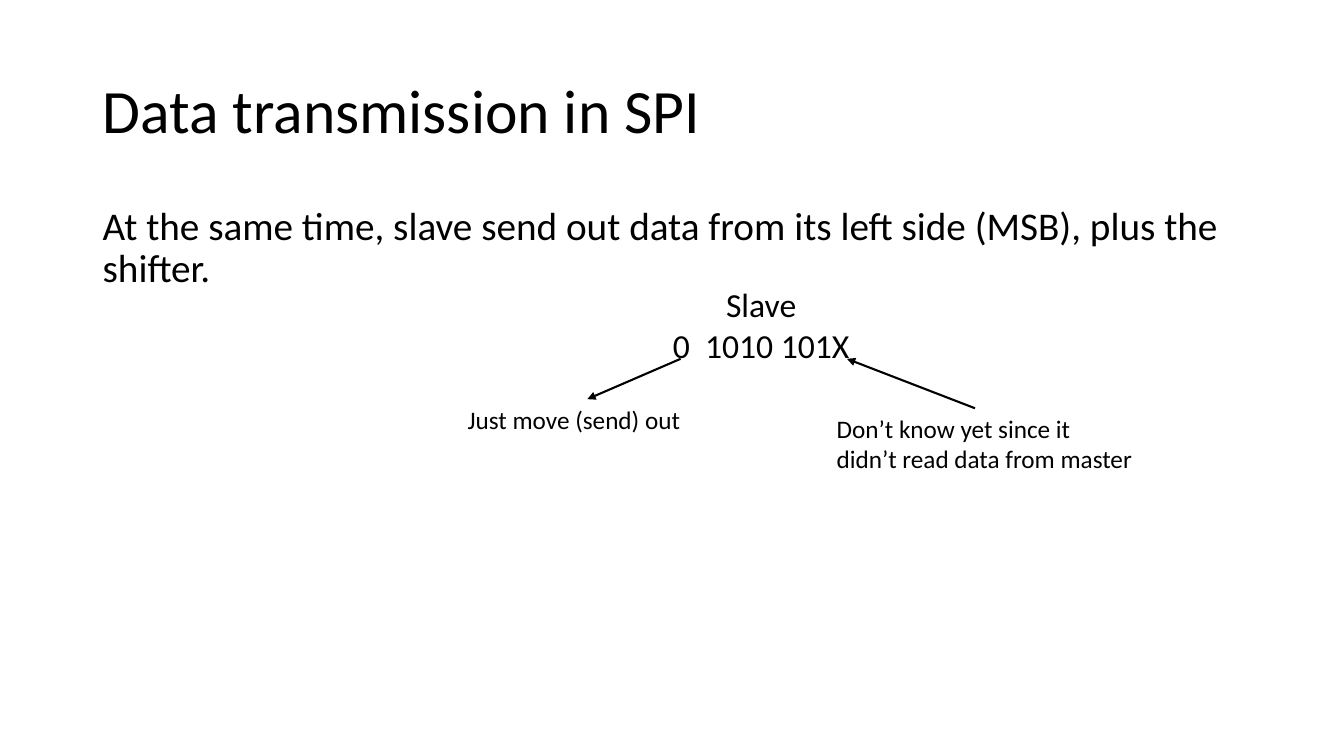
from dataclasses import dataclass

from lxml.etree import SubElement
from pptx import Presentation
from pptx.dml.color import RGBColor
from pptx.enum.shapes import MSO_CONNECTOR
from pptx.enum.text import MSO_ANCHOR, PP_ALIGN
from pptx.oxml.ns import qn
from pptx.util import Emu, Pt

# Boxes are left, top, width, height in px
SLIDE_SIZE = (1333, 750)
TITLE = ("Data transmission in SPI", (92, 40, 1150, 145))
BODY = (
    "At the same time, slave send out data from its left side (MSB), plus the shifter.",
    (92, 200, 1150, 476),
)
SENT_NOTE = ("Just move (send) out", (454, 396, 257, 40))
UNKNOWN_NOTE = (
    "Don’t know yet since it didn’t read data from master",
    (820, 405, 314, 71),
)
REGISTER = (["Slave", "0  1010 101X"], (643, 277, 224, 91))
SENT_ARROW = ((675, 356), (583, 396))
UNKNOWN_ARROW = ((967, 405), (840, 356))


@dataclass(frozen=True)
class Theme:
    font: str = "Calibri"
    ink: RGBColor = RGBColor(0, 0, 0)
    title_size: int = 44
    body_size: int = 28
    register_size: int = 24
    note_size: int = 18
    line_width: float = 1.5


THEME = Theme()


def px(length):
    return Emu(length * 9144)


def add_text(slide, lines, box, size, align=PP_ALIGN.LEFT,
             anchor=MSO_ANCHOR.TOP, line_spacing=None, space_before=0):
    shape = slide.shapes.add_textbox(*map(px, box))
    frame = shape.text_frame
    frame.word_wrap = True
    frame.vertical_anchor = anchor
    frame.text = "\n".join(lines)
    for paragraph in frame.paragraphs:
        paragraph.alignment = align
        paragraph.line_spacing = line_spacing
        paragraph.space_before = Pt(space_before)
        paragraph.font.name = THEME.font
        paragraph.font.size = Pt(size)
        paragraph.font.color.rgb = THEME.ink
    return shape


def add_arrow(slide, start, end):
    arrow = slide.shapes.add_connector(
        MSO_CONNECTOR.STRAIGHT, *map(px, start + end))
    arrow.line.color.rgb = THEME.ink
    arrow.line.width = Pt(THEME.line_width)
    SubElement(arrow.line._get_or_add_ln(), qn("a:tailEnd"), type="triangle")
    SubElement(arrow._element.spPr, qn("a:effectLst"))
    return arrow


def main():
    presentation = Presentation()
    presentation.slide_width, presentation.slide_height = map(px, SLIDE_SIZE)
    slide = presentation.slides.add_slide(presentation.slide_layouts[6])

    title, title_box = TITLE
    add_text(slide, [title], title_box, THEME.title_size,
             anchor=MSO_ANCHOR.MIDDLE, line_spacing=0.9)
    body, body_box = BODY
    add_text(slide, [body], body_box, THEME.body_size,
             line_spacing=0.9, space_before=10)

    sent_note, unknown_note = [
        add_text(slide, [note], box, THEME.note_size)
        for note, box in (SENT_NOTE, UNKNOWN_NOTE)
    ]
    add_arrow(slide, *SENT_ARROW).end_connect(sent_note, 0)
    add_arrow(slide, *UNKNOWN_ARROW)

    register_lines, register_box = REGISTER
    add_text(slide, register_lines, register_box, THEME.register_size,
             align=PP_ALIGN.CENTER)

    presentation.save("out.pptx")


if __name__ == "__main__":
    main()
